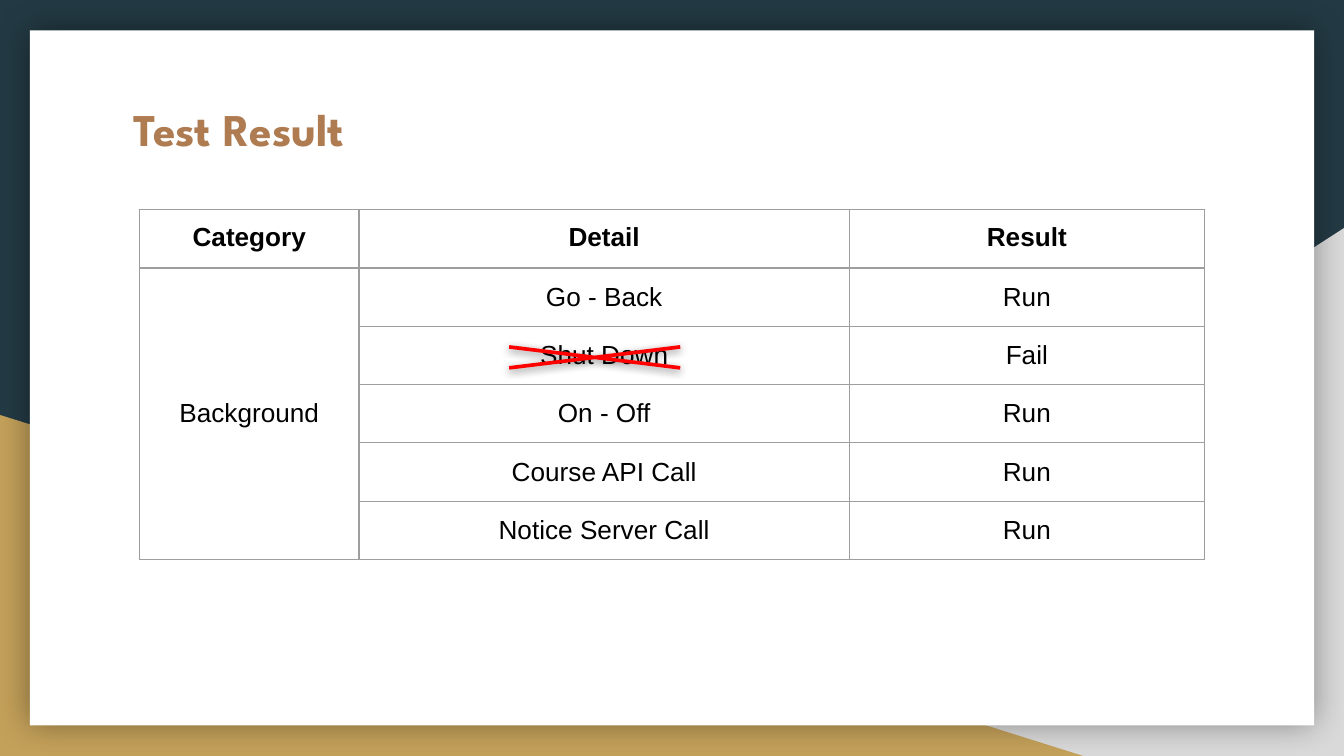
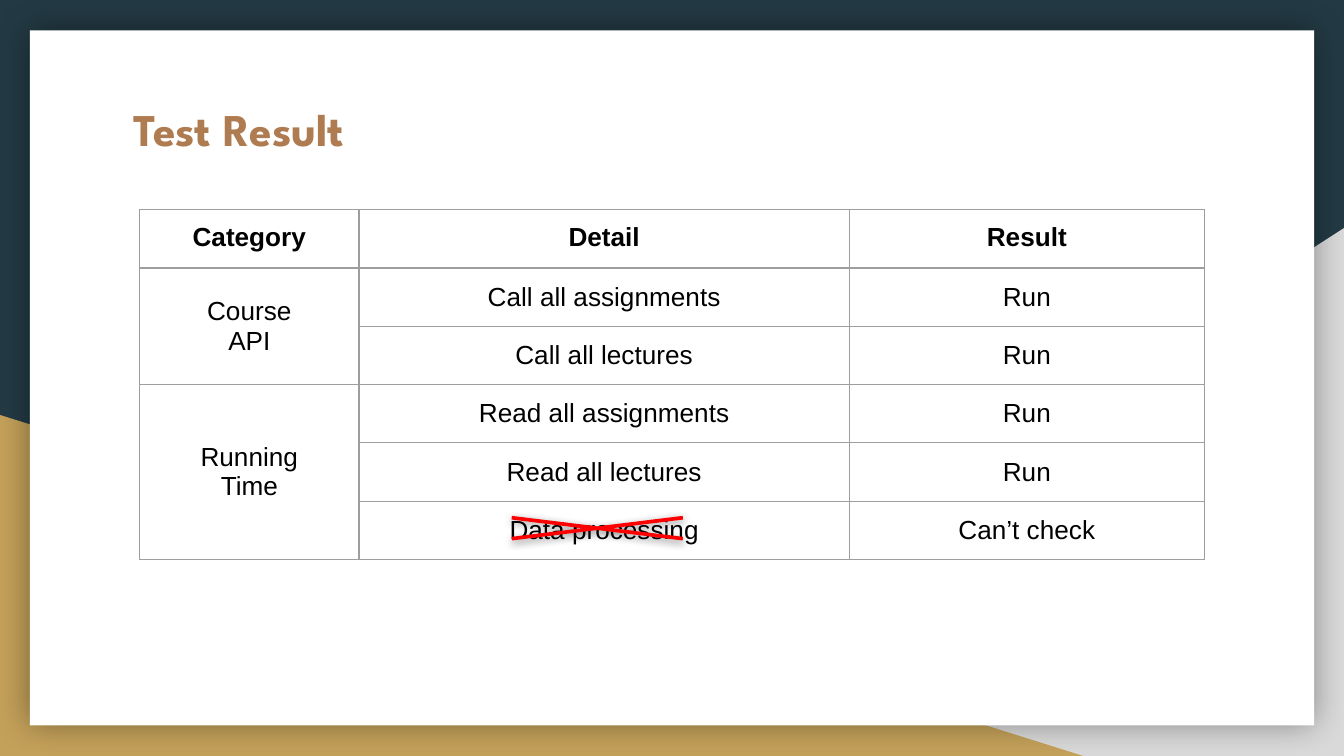
import pptx
import pptx.util
import pptx.dml.color
import pptx.enum.shapes
import pptx.enum.text
import pptx.oxml.ns
from lxml import etree

Pt = pptx.util.Pt
RGB = pptx.dml.color.RGBColor.from_string
KIND = pptx.enum.shapes.MSO_SHAPE
ANCHOR = pptx.enum.text.MSO_ANCHOR
ALIGN = pptx.enum.text.PP_ALIGN
qn = pptx.oxml.ns.qn

HEAD = ("Category", "Detail", "Result")
# Each group holds a category and its (detail, result) rows;
# cross is the left and top of the mark over a failed detail.
SLIDES = [
    {
        "title": "Test Result",
        "groups": [
            ("Background", [
                ("Go - Back", "Run"),
                ("Shut Down", "Fail"),
                ("On - Off", "Run"),
                ("Course API Call", "Run"),
                ("Notice Server Call", "Run"),
            ]),
        ],
        "cross": (230.4, 180.7),
    },
    {
        "title": "Test Result",
        "groups": [
            ("Course\nAPI", [
                ("Call all assignments", "Run"),
                ("Call all lectures", "Run"),
            ]),
            ("Running\nTime", [
                ("Read all assignments", "Run"),
                ("Read all lectures", "Run"),
                ("Data processing", "Can’t check"),
            ]),
        ],
        "cross": (231.8, 272.2),
    },
]

THEME = {
    "back": "233A44", "grey": "D9D9D9", "gold": "C4A15A", "page": "FFFFFF",
    "title": "AF7B51", "text": "000000", "rule": "9E9E9E", "cross": "FF0000",
    "title_font": "League Spartan", "body_font": "Arial",
    "title_size": 24.3, "body_size": 14, "rule_width": 0.75,
}
WIDE, HIGH = 720, 405
INSET = 7.2
COLS = (117.4, 262.8, 190.1)
ROW = 30.2
LEFT, TOP = 74.9, 112.3
MARGINS = {"margin_" + side: Pt(INSET)
           for side in ("left", "right", "top", "bottom")}


def assign(item, values):
    for name, value in values.items():
        setattr(item, name, value)


def style(para, font, size, color, bold):
    assign(para.font, {"name": font, "size": Pt(size), "bold": bold})
    para.font.color.rgb = RGB(color)


def shape(slide, kind, box, color):
    item = slide.shapes.add_shape(kind, *map(Pt, box))
    item.shadow.inherit = False
    item.fill.solid()
    item.fill.fore_color.rgb = RGB(color)
    item.line.fill.background()
    return item


def shade(item, alpha, blur, dist, angle):
    """Add a black outer shadow; alpha in percent, angle in degrees."""
    list_ = item._element.spPr.find(qn("a:effectLst"))
    outer = etree.SubElement(list_, qn("a:outerShdw"), {
        "blurRad": str(Pt(blur)), "dist": str(Pt(dist)),
        "dir": str(angle * 60000), "algn": "bl", "rotWithShape": "0"})
    tint = etree.SubElement(outer, qn("a:srgbClr"), val="000000")
    etree.SubElement(tint, qn("a:alpha"), val=str(alpha * 1000))


def frame(slide):
    """Draw the coloured corners and the white page."""
    slide.background.fill.solid()
    slide.background.fill.fore_color.rgb = RGB(THEME["back"])
    grey = shape(slide, KIND.RIGHT_TRIANGLE,
                 (282, 122.2, WIDE - 282, HIGH - 122.2), THEME["grey"])
    grey._element.spPr.find(qn("a:xfrm")).set("flipH", "1")
    shape(slide, KIND.RIGHT_TRIANGLE,
          (0, 222.3, 580.3, HIGH - 222.3), THEME["gold"])
    page = shape(slide, KIND.RECTANGLE, (16, 16.2, WIDE - 32, 372.4),
                 THEME["page"])
    shade(page, 40, 18, 0, 0)


def title(slide, text):
    box = slide.shapes.add_textbox(*map(Pt, (64.6, 46.9, 591, 45.4)))
    assign(box.text_frame, dict(
        MARGINS, word_wrap=True, vertical_anchor=ANCHOR.TOP))
    para = box.text_frame.paragraphs[0]
    para.text = text
    style(para, THEME["title_font"], THEME["title_size"],
          THEME["title"], True)


def rules(cell):
    """Draw a thin line on all four sides of a cell."""
    props = cell._tc.get_or_add_tcPr()
    for side in ("lnL", "lnR", "lnT", "lnB"):
        line = etree.SubElement(props, qn("a:" + side),
                                w=str(Pt(THEME["rule_width"])))
        fill = etree.SubElement(line, qn("a:solidFill"))
        etree.SubElement(fill, qn("a:srgbClr"), val=THEME["rule"])


def write(cell, text, head):
    cell.text = text
    assign(cell, dict(
        MARGINS, vertical_anchor=ANCHOR.TOP if head else ANCHOR.MIDDLE))
    for para in cell.text_frame.paragraphs:
        para.alignment = ALIGN.CENTER
        style(para, THEME["body_font"], THEME["body_size"],
              THEME["text"], head)
    rules(cell)
    cell.fill.background()


def table(slide, groups):
    rows = [HEAD]
    spans = []
    for name, tests in groups:
        spans.append((len(rows), len(rows) + len(tests) - 1))
        for place, test in enumerate(tests):
            rows.append(("" if place else name, *test))
    grid = slide.shapes.add_table(
        len(rows), len(COLS), Pt(LEFT), Pt(TOP),
        Pt(sum(COLS)), Pt(ROW * len(rows))).table
    assign(grid, {"first_row": False, "horz_banding": False})
    for col, width in zip(grid.columns, COLS):
        col.width = Pt(width)
    for y, row in enumerate(rows):
        grid.rows[y].height = Pt(ROW)
        for x, text in enumerate(row):
            write(grid.cell(y, x), text, y == 0)
    for first, last in spans:
        grid.cell(first, 0).merge(grid.cell(last, 0))


def cross(slide, left, top):
    mark = shape(slide, KIND.MATH_MULTIPLY, (left, top, 176.4, 21.6),
                 THEME["cross"])
    mark.adjustments[0] = 0.09
    shade(mark, 50, 4.5, 1.5, 90)


def main():
    deck = pptx.Presentation()
    assign(deck, {"slide_width": Pt(WIDE), "slide_height": Pt(HIGH)})
    for data in SLIDES:
        slide = deck.slides.add_slide(deck.slide_layouts[6])
        frame(slide)
        title(slide, data["title"])
        table(slide, data["groups"])
        cross(slide, *data["cross"])
    deck.save("out.pptx")


if __name__ == "__main__":
    main()
